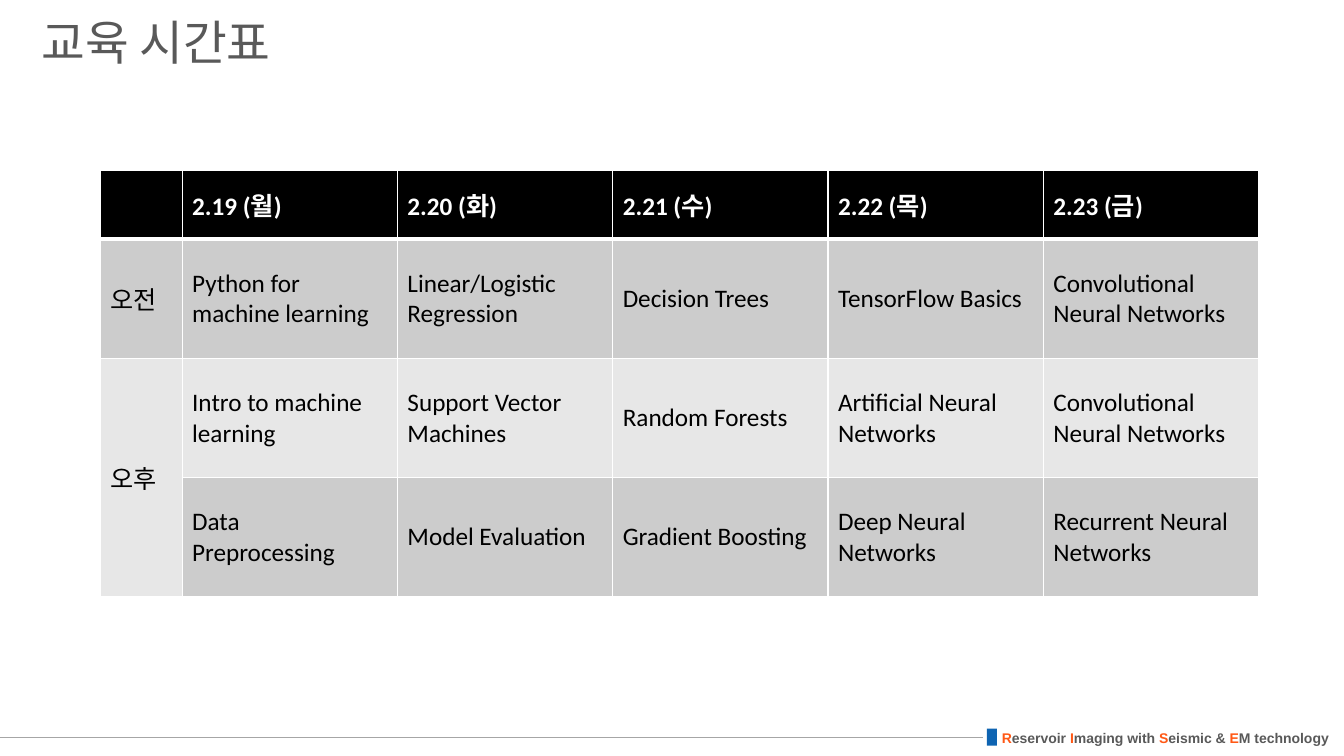
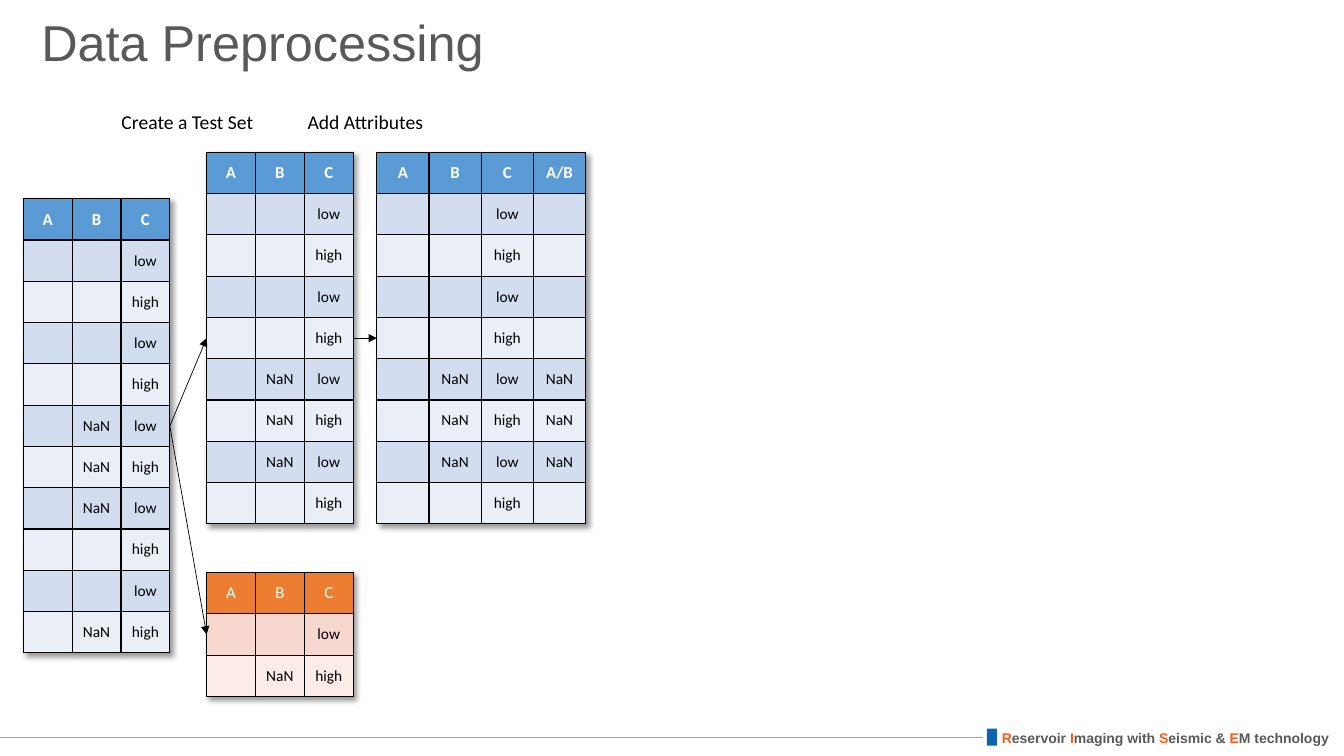
import dataclasses

import lxml.etree
import pptx
import pptx.dml.color
import pptx.enum.shapes
import pptx.enum.text
import pptx.oxml.ns
import pptx.util

Pt = pptx.util.Pt
RGB = pptx.dml.color.RGBColor.from_string
ALIGN = pptx.enum.text.PP_ALIGN
MIDDLE = pptx.enum.text.MSO_ANCHOR.MIDDLE


@dataclasses.dataclass(frozen=True)
class Theme:
    heading_font: str = "Arial"
    body_font: str = "Calibri"
    grey: str = "595959"
    orange: str = "FF5815"
    blue: str = "0E64B2"
    rule: str = "A6A6A6"
    black: str = "000000"
    white: str = "FFFFFF"
    title_size: int = 36
    korean_title_size: int = 34
    label_size: int = 14
    footer_size: int = 10


@dataclasses.dataclass(frozen=True)
class TableStyle:
    header: str
    bands: tuple
    border: str
    header_size: int
    body_size: int
    bold_header: bool = True
    header_rule: int = 1
    align: ALIGN = ALIGN.CENTER
    shadow: bool = True


THEME = Theme()
TIMETABLE = TableStyle("000000", ("CCCCCC", "E7E7E7"), THEME.white, 18, 18,
                       header_rule=3, align=ALIGN.LEFT, shadow=False)
TRAINING = TableStyle("5B9BD5", ("D2DEEF", "EAEFF7"), THEME.black, 12, 11)
TESTING = TableStyle("ED7D31", ("F8D7CE", "FCECE8"), THEME.black, 12, 11,
                     bold_header=False)

SCHEDULE = [
    ["", "2.19 (월)", "2.20 (화)", "2.21 (수)", "2.22 (목)", "2.23 (금)"],
    ["오전", "Python for machine learning", "Linear/Logistic Regression",
     "Decision Trees", "TensorFlow Basics", "Convolutional Neural Networks"],
    ["오후", "Intro to machine learning", "Support Vector Machines",
     "Random Forests", "Artificial Neural Networks",
     "Convolutional Neural Networks"],
    ["", "Data Preprocessing", "Model Evaluation", "Gradient Boosting",
     "Deep Neural Networks", "Recurrent Neural Networks"],
]
FOOTER = [("R", "eservoir "), ("I", "maging with "), ("S", "eismic & "),
          ("E", "M technology")]
RECORD_COUNT = 10
TRAIN_COUNT = 8
MISSING = {4, 5, 6, 9}
ROW_HEIGHT = 29.5


def add_xml(parent, tag, **attributes):
    return lxml.etree.SubElement(parent, pptx.oxml.ns.qn(tag), attributes)


def style_font(font, name, size, color, bold=False):
    font.name, font.size, font.bold = name, Pt(size), bold
    font.color.rgb = RGB(color)


def add_title(page, text, size):
    frame = page.shapes.title.text_frame
    frame.text = text
    frame.auto_size = pptx.enum.text.MSO_AUTO_SIZE.NONE
    frame.vertical_anchor = MIDDLE
    para = frame.paragraphs[0]
    para.alignment, para.line_spacing = ALIGN.LEFT, 0.9
    style_font(para.runs[0].font, THEME.heading_font, size, THEME.grey)


def add_text_box(page, left, top, width, height):
    box = page.shapes.add_textbox(Pt(left), Pt(top), Pt(width), Pt(height))
    box.text_frame.word_wrap = False
    box.text_frame.auto_size = pptx.enum.text.MSO_AUTO_SIZE.SHAPE_TO_FIT_TEXT
    return box


def add_label(page, text, left, width):
    para = add_text_box(page, left, 75, width, 24.2).text_frame.paragraphs[0]
    para.text = text
    para.alignment = ALIGN.CENTER
    style_font(para.runs[0].font, THEME.body_font, THEME.label_size,
               THEME.black)


def add_line(page, start, end, color, arrow=False):
    line = page.shapes.add_connector(
        pptx.enum.shapes.MSO_CONNECTOR.STRAIGHT, *start, *end)
    line.line.color.rgb = RGB(color)
    line.line.width = Pt(0.5)
    properties = line.element.spPr
    if arrow:
        add_xml(properties.find(pptx.oxml.ns.qn("a:ln")), "a:tailEnd",
                type="triangle")
    add_xml(properties, "a:effectLst")
    return line


def add_flow(page, source, target):
    """Arrow from the right side of one table to the left side of another."""
    add_line(page,
             (source.left + source.width, source.top + source.height // 2),
             (target.left, target.top + target.height // 2),
             THEME.black, arrow=True)


def set_borders(cell, color, top, bottom):
    """Border lines have to stand before the fill."""
    properties = cell._tc.get_or_add_tcPr()
    widths = {"a:lnL": 1, "a:lnR": 1, "a:lnT": top, "a:lnB": bottom}
    for position, (tag, width) in enumerate(widths.items()):
        line = add_xml(properties, tag, w=str(Pt(width)))
        add_xml(add_xml(line, "a:solidFill"), "a:srgbClr", val=color)
        properties.insert(position, line)


def add_table_shadow(table):
    effects = add_xml(table._tbl.tblPr, "a:effectLst")
    table._tbl.tblPr.insert(0, effects)
    shadow = add_xml(effects, "a:outerShdw", blurRad=str(Pt(4)),
                     dist=str(Pt(3)), dir="2700000", algn="tl")
    black = add_xml(shadow, "a:srgbClr", val=THEME.black)
    add_xml(black, "a:alpha", val="40000")


def format_cell(cell, text, row_index, style):
    is_header = row_index == 0
    cell.fill.solid()
    cell.fill.fore_color.rgb = RGB(
        style.header if is_header else style.bands[(row_index - 1) % 2])
    set_borders(cell, style.border,
                top=style.header_rule if row_index == 1 else 1,
                bottom=style.header_rule if is_header else 1)
    cell.vertical_anchor = MIDDLE
    if text:
        cell.text = text
        para = cell.text_frame.paragraphs[0]
        para.alignment = style.align
        style_font(para.runs[0].font, THEME.body_font,
                   style.header_size if is_header else style.body_size,
                   THEME.white if is_header else THEME.black,
                   is_header and style.bold_header)


def add_grid(page, left, top, column_widths, row_heights, rows, style):
    frame = page.shapes.add_table(
        len(rows), len(column_widths), Pt(left), Pt(top),
        Pt(sum(column_widths)), Pt(sum(row_heights)))
    table = frame.table
    for column, width in zip(table.columns, column_widths):
        column.width = Pt(width)
    for row_index, (row, height) in enumerate(zip(table.rows, row_heights)):
        row.height = Pt(height)
        for cell, text in zip(row.cells, rows[row_index]):
            format_cell(cell, text, row_index, style)
    if style.shadow:
        add_table_shadow(table)
    return frame


def add_data_grid(page, left, top, column_width, rows, style):
    return add_grid(page, left, top, [column_width] * len(rows[0]),
                    [ROW_HEIGHT] * len(rows), rows, style)


def prepare_layout(layout):
    for holder in list(layout.placeholders):
        kind = holder.placeholder_format.type
        if kind == pptx.enum.shapes.PP_PLACEHOLDER.TITLE:
            holder.left, holder.top = Pt(22.3), Pt(0)
            holder.width, holder.height = Pt(828), Pt(64)
        else:
            holder.element.getparent().remove(holder.element)


def add_footer(page, layout):
    """Draw the footer and move it to the layout, so all pages share it."""
    box = add_text_box(page, 708.5, 517.7, 250.5, 19.4)
    para = box.text_frame.paragraphs[0]
    for initial, rest in FOOTER:
        for text, color in ((initial, THEME.orange), (rest, THEME.grey)):
            span = para.add_run()
            span.text = text
            style_font(span.font, THEME.heading_font, THEME.footer_size,
                       color, bold=True)
    line = add_line(page, (Pt(702), Pt(526.5)), (Pt(0), Pt(526.5)),
                    THEME.rule)
    marker = page.shapes.add_shape(
        pptx.enum.shapes.MSO_SHAPE.RECTANGLE,
        Pt(705), Pt(520.5), Pt(7.2), Pt(12.2))
    marker.shadow.inherit = False
    marker.fill.solid()
    marker.fill.fore_color.rgb = RGB(THEME.blue)
    marker.line.fill.background()
    for shape in (box, line, marker):
        layout.shapes.element.append(shape.element)


def fill_timetable_page(page):
    add_title(page, "교육 시간표", THEME.korean_title_size)
    table = add_grid(page, 71.5, 121.8, [58.6] + [153.8] * 5,
                     [49] + [85.2] * 3, SCHEDULE, TIMETABLE).table
    table.cell(2, 0).merge(table.cell(3, 0))


def fill_preprocessing_page(page):
    add_title(page, "Data Preprocessing", THEME.title_size)
    header = ["A", "B", "C"]
    records = [["", "NaN" if index in MISSING else "", ("low", "high")[index % 2]]
               for index in range(RECORD_COUNT)]
    train = [header] + records[:TRAIN_COUNT]
    test = [header] + records[TRAIN_COUNT:]
    ratios = ["A/B"] + [record[1] for record in records[:TRAIN_COUNT]]
    extended = [row + [ratio] for row, ratio in zip(train, ratios)]

    full_grid = add_data_grid(page, 16.6, 142, 34.9, [header] + records,
                              TRAINING)
    train_grid = add_data_grid(page, 147.6, 108.8, 34.9, train, TRAINING)
    test_grid = add_data_grid(page, 147.6, 409, 34.9, test, TESTING)
    extended_grid = add_data_grid(page, 269.2, 108.8, 37.3, extended,
                                  TRAINING)
    add_flow(page, full_grid, train_grid)
    add_flow(page, train_grid, extended_grid)
    add_flow(page, full_grid, test_grid)
    add_label(page, "Create a Test Set", 79.2, 109.4)
    add_label(page, "Add Attributes", 211.7, 98.6)


def main():
    deck = pptx.Presentation()
    deck.slide_width, deck.slide_height = Pt(960), Pt(540)
    layout = deck.slide_layouts.get_by_name("Title Only")
    prepare_layout(layout)
    timetable_page = deck.slides.add_slide(layout)
    add_footer(timetable_page, layout)
    fill_timetable_page(timetable_page)
    fill_preprocessing_page(deck.slides.add_slide(layout))
    deck.save("out.pptx")


if __name__ == "__main__":
    main()
